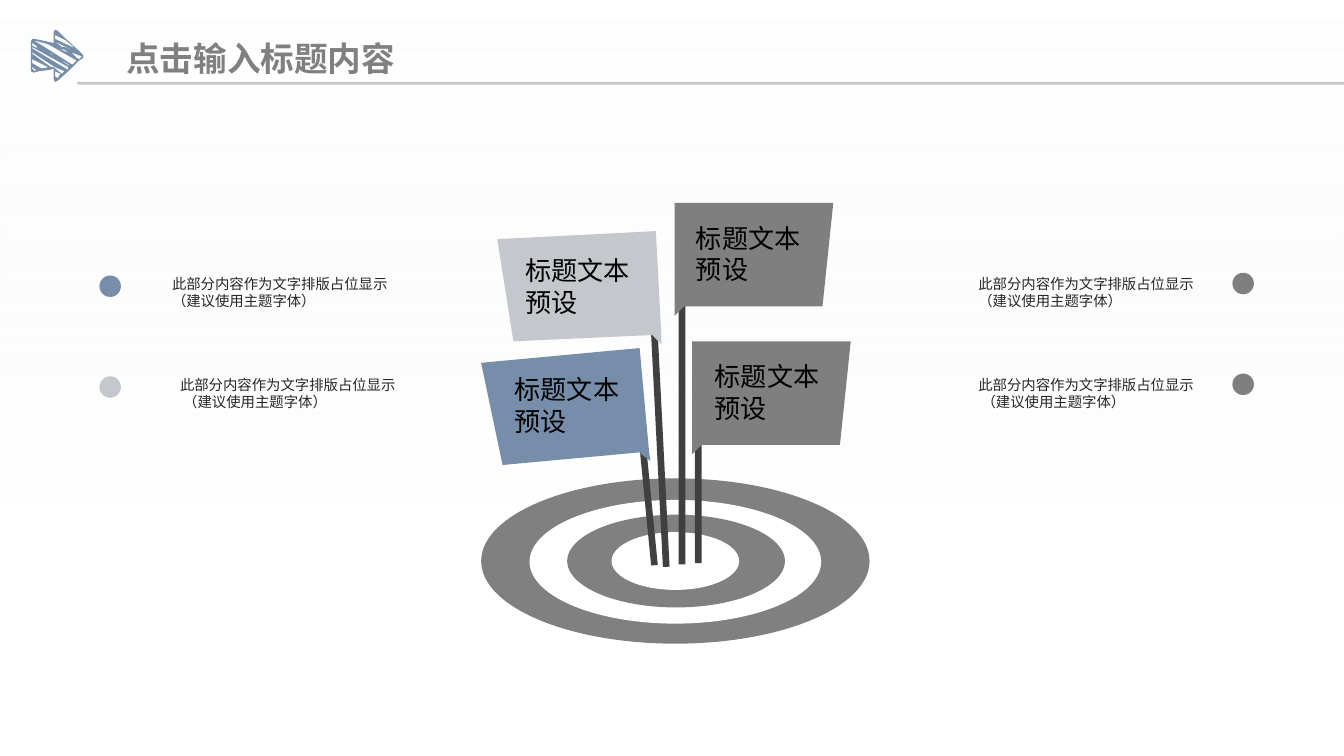
from lxml.etree import SubElement
from pptx import Presentation
from pptx.dml.color import RGBColor
from pptx.enum.shapes import MSO_SHAPE
from pptx.enum.text import MSO_ANCHOR, PP_ALIGN
from pptx.oxml.ns import qn
from pptx.util import Inches, Pt

FONT = "Noto Sans CJK SC"
GRAY, BLUE, PALE, DARK = "808080", "768EA9", "C4C7CB", "404040"
FLAG = "标题文本\n预设"
NOTES = [
    "此部分内容作为文字排版占位显示 \n（建议使用主题字体）",
    "此部分内容作为文字排版占位显示\n （建议使用主题字体）",
]

ARROW = [
    [(.23, .31), (.24, .29), (.26, .29), (.31, .3), (.4, .32), (.4, .24),
     (.41, .22), (.43, .23), (.47, .27), (.59, .38), (.62, .41), (.62, .43),
     (.59, .45), (.53, .51), (.43, .6), (.41, .61), (.4, .59), (.4, .51),
     (.37, .52), (.29, .53), (.25, .54), (.23, .53)],
    [(.53, .39), (.57, .43), (.59, .44), (.61, .42)],
    [(.44, .36), (.46, .37), (.52, .4), (.48, .37)],
    [(.41, .26), (.41, .29), (.56, .36), (.49, .3)],
    [(.41, .31), (.46, .35), (.48, .35), (.57, .39)],
    [(.41, .53), (.41, .57), (.43, .58), (.45, .55)],
    [(.36, .38), (.5, .48), (.53, .49), (.38, .4)],
    [(.25, .3), (.38, .38), (.52, .47), (.54, .48), (.57, .45), (.36, .33), (.29, .31)],
    [(.24, .32), (.24, .34), (.28, .36), (.27, .34)],
    [(.24, .35), (.24, .36), (.49, .51), (.5, .52), (.51, .5), (.42, .45)],
    [(.24, .39), (.24, .4), (.38, .5), (.4, .5), (.46, .55), (.48, .53), (.41, .5)],
    [(.24, .44), (.24, .47), (.31, .51), (.36, .5)],
    [(.24, .5), (.24, .51), (.26, .53), (.27, .52)],
]


def color(code):
    return RGBColor.from_string(code)


def write(frame, text, size, fill, bold=False, pitch=None, wrap=True,
          anchor=MSO_ANCHOR.TOP, left=0.1, right=0.1):
    frame.word_wrap = wrap
    frame.vertical_anchor = anchor
    frame.margin_left, frame.margin_right = Inches(left), Inches(right)
    frame.margin_top = frame.margin_bottom = Inches(0.05)
    para = frame.paragraphs[0]
    para.text = text
    para.alignment = PP_ALIGN.LEFT
    if pitch:
        para.line_spacing = Pt(pitch)
    for run in para.runs:
        font = run.font
        font.name, font.size, font.bold = FONT, Pt(size), bold
        font.color.rgb = color(fill)
        SubElement(run._r.get_or_add_rPr(), qn("a:ea")).set("typeface", FONT)


class Board:
    def __init__(self, deck):
        self.slide = deck.slides.add_slide(deck.slide_layouts[5])
        self.host = self.slide.shapes

    def group(self):
        self.host = self.slide.shapes.add_group_shape().shapes

    def leave(self):
        self.host = self.slide.shapes

    def paint(self, shape, fill):
        shape.shadow.inherit = False
        shape.line.fill.background()
        shape.fill.solid()
        shape.fill.fore_color.rgb = color(fill)
        return shape

    def shape(self, kind, box, fill, turn=0):
        item = self.host.add_shape(kind, *map(Inches, box))
        item.rotation = turn
        return self.paint(item, fill)

    def shade(self, box):
        item = self.shape(MSO_SHAPE.RECTANGLE, box, "FFFFFF")
        item.fill.gradient()
        item.fill.gradient_angle = 270
        stops = [(0, "FFFFFF", 55), (0.71, "F2F2F2", 0)]
        for stop, (place, fill, alpha) in zip(item.fill.gradient_stops, stops):
            stop.position = place
            stop.color.rgb = color(fill)
        tints = item._element.spPr.iter(qn("a:srgbClr"))
        for tint, (place, fill, alpha) in zip(tints, stops):
            SubElement(tint, qn("a:alpha")).set("val", str(alpha * 1000))

    def outline(self, paths, fill):
        paths = [[(Inches(x), Inches(y)) for x, y in path] for path in paths]
        pen = self.host.build_freeform(*paths[0][0])
        pen.add_line_segments(paths[0][1:])
        for path in paths[1:]:
            pen.move_to(*path[0])
            pen.add_line_segments(path[1:])
        return self.paint(pen.convert_to_shape(), fill)

    def text(self, box, words, **style):
        item = self.host.add_textbox(*map(Inches, box))
        write(item.text_frame, words, **style)

    def title(self, box, words, **style):
        item = self.slide.shapes.title
        item.left, item.top, item.width, item.height = map(Inches, box)
        write(item.text_frame, words, **style)
        self.slide.shapes._spTree.append(item._element)


def main():
    deck = Presentation()
    deck.slide_width, deck.slide_height = Inches(10), Inches(10 * 9 / 16)
    board = Board(deck)

    board.shade((0, 0, 10, 10 * 9 / 16))
    board.outline([[(.57, .61), (10, .61), (10, .63), (.58, .63)]], PALE)
    board.outline(ARROW, BLUE)

    board.group()
    rings = [(3.58, 3.56, 2.89, 1.23), (3.94, 3.72, 2.17, .92),
             (4.22, 3.83, 1.62, .69), (4.55, 3.96, .95, .43)]
    for step, ring in enumerate(rings):
        board.shape(MSO_SHAPE.OVAL, ring, "FFFFFF" if step % 2 else GRAY)

    right = [((5.17, 2.57, .05, 1.62), 5.15, 2.54), ((5.05, 1.57, .05, 2.63), 5.02, 1.51)]
    flags = [
        (pole, 0, "7F7F7F",
         [[(x, y + .77), (x + .07, y + .77), (x, y + .84)],
          [(x, y), (x + 1.18, y), (x + 1.1, y + .77), (x, y + .77)]])
        for pole, x, y in right
    ] + [
        ((4.77, 2.67, .05, 1.54), 354.4, BLUE,
         [[(4.83, 3.36), (4.76, 3.37), (4.84, 3.43)],
          [(4.76, 2.59), (3.58, 2.7), (3.74, 3.46), (4.83, 3.36)]]),
        ((4.87, 1.76, .05, 2.46), 357.1, PALE,
         [[(4.92, 2.49), (4.85, 2.49), (4.92, 2.56)],
          [(4.88, 1.72), (3.7, 1.78), (3.82, 2.54), (4.92, 2.49)]]),
    ]
    for pole, turn, fill, paths in flags:
        board.group()
        board.shape(MSO_SHAPE.RECTANGLE, pole, DARK, turn)
        board.outline(paths, fill)
    board.leave()

    for x, y, fill in [(.74, 2.05, BLUE), (.74, 2.8, PALE),
                       (9.17, 2.03, "7F7F7F"), (9.17, 2.78, "7F7F7F")]:
        board.shape(MSO_SHAPE.OVAL, (x, y, .16, .16), fill)

    for box, left in [((5.08, 1.51, .99, .75), .1), ((5.22, 2.54, .99, .75), .1),
                      ((3.73, 2.65, .99, .73), .1), ((3.73, 1.76, 1.14, .74), .18)]:
        board.text(box, FLAG, size=14, fill="000000", pitch=17, left=left,
                   wrap=False, anchor=MSO_ANCHOR.MIDDLE)

    for column in [(.89, .95), (6.89, 6.89)]:
        for row, (x, words) in enumerate(zip(column, NOTES)):
            board.text((x, 2 + row * .75, 2.2, .46), words, size=7.75,
                       fill="262626", pitch=9.2, left=.39)

    board.title((.94, .22, 2.33, .42), "点击输入标题内容", size=18, fill=GRAY,
                bold=True, anchor=MSO_ANCHOR.MIDDLE, left=0, right=0)
    deck.save("out.pptx")


if __name__ == "__main__":
    main()
